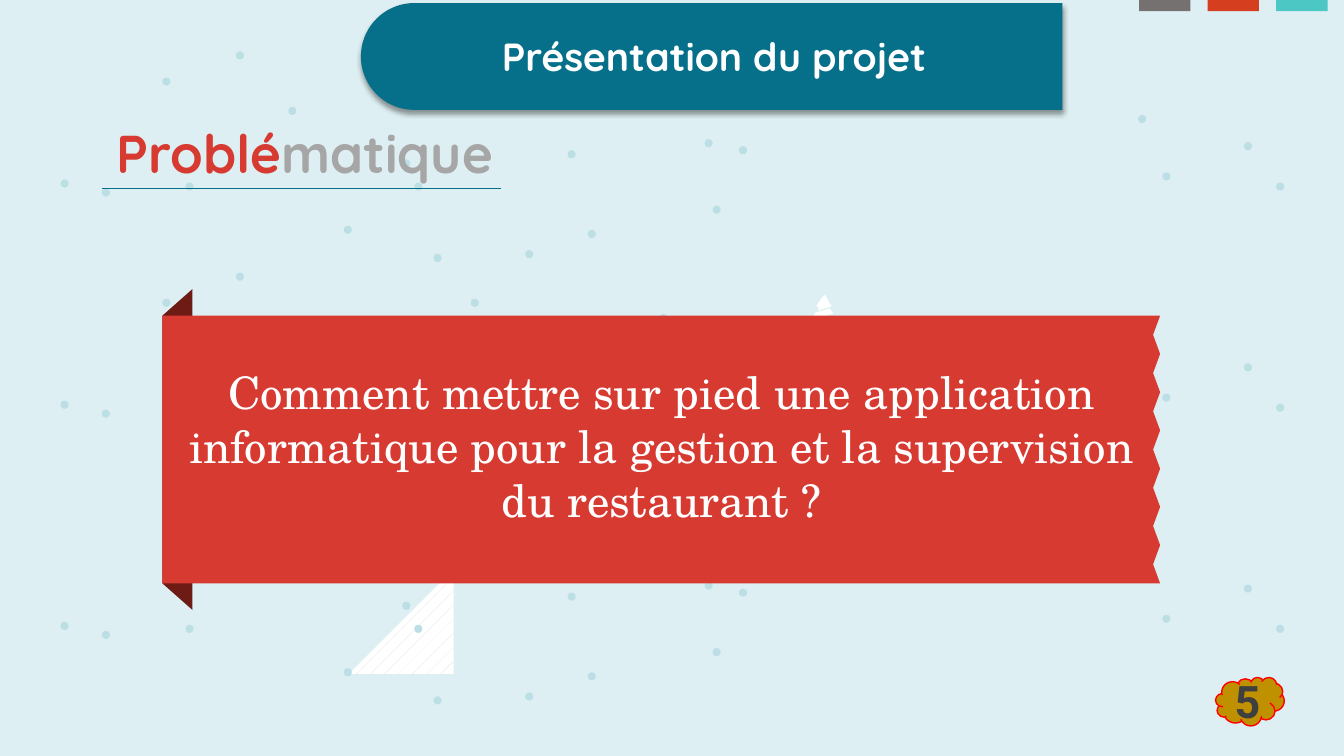
import math

import lxml.etree
import pptx
import pptx.dml.color
import pptx.enum.dml
import pptx.enum.shapes
import pptx.enum.text
import pptx.oxml
import pptx.oxml.ns
import pptx.util

Pt = pptx.util.Pt
SHAPE = pptx.enum.shapes.MSO_SHAPE
qn = pptx.oxml.ns.qn


def paint(fill, color):
    fill.solid()
    fill.fore_color.rgb = pptx.dml.color.RGBColor.from_string(color)


def write(s, runs, size, font, bold):
    """Centre one paragraph of (text, colour) runs in shape s."""
    tf = s.text_frame
    frame = {"word_wrap": True, "vertical_anchor": pptx.enum.text.MSO_ANCHOR.MIDDLE,
             "margin_left": 0, "margin_right": 0, "margin_top": 0, "margin_bottom": 0}
    for name, value in frame.items():
        setattr(tf, name, value)
    p = tf.paragraphs[0]
    p.alignment = pptx.enum.text.PP_ALIGN.CENTER
    for text, color in runs:
        r = p.add_run()
        r.text = text
        for name, value in {"size": Pt(size), "name": font, "bold": bold}.items():
            setattr(r.font, name, value)
        paint(r.font.fill, color)


prs = pptx.Presentation()
prs.slide_width, prs.slide_height = Pt(960), Pt(540)
slide = prs.slides.add_slide(prs.slide_layouts[6])
shapes = slide.shapes
paint(slide.background.fill, "DDEFF2")

# Hatched triangle
s = shapes.add_shape(SHAPE.RIGHT_TRIANGLE, Pt(249.1), Pt(406.8), Pt(74.9), Pt(74.9))
s.shadow.inherit = False
s.line.fill.background()
s._element.spPr.xfrm.set("flipH", "1")
s.fill.patterned()
s.fill.pattern = pptx.enum.dml.MSO_PATTERN.PERCENT_5
s.fill.fore_color.rgb = pptx.dml.color.RGBColor.from_string("D9D9D9")
s.fill.back_color.rgb = pptx.dml.color.RGBColor.from_string("FFFFFF")

# Dots: one scatter repeated down the slide, except under the header and banner
header_left, header_top, header_right, header_bottom = 257.8, 2.2, 758.9, 78.5
left, top, right, bottom = 116, 225.5, 828.7, 416.7
covers = [(header_left, header_top, header_right, header_bottom), (left, top, right, bottom)]
dot, pitch = 5.8, 158
scatter = [
    (245.5, 161.3), (375.1, 178.6), (405.4, 107.3), (43.2, 128.2), (132.5, 130.3),
    (287.3, 113.8), (336.2, 55.4), (470.9, 66.2), (115.9, 55.4), (72.7, 134.6),
    (503.3, 99.4), (911.5, 130.3), (812.9, 82.1), (309.6, 181.4), (419.8, 164.2),
    (168.5, 36.7), (205.9, 76.3), (295.9, 130.3), (888.5, 101.5), (509, 146.9),
    (830.2, 123.1), (527.8, 104.4),
]
for row in range(3):
    for x, y in scatter:
        y += row * pitch
        if any(l <= x <= r - dot and t <= y <= b - dot for l, t, r, b in covers):
            continue
        s = shapes.add_shape(SHAPE.OVAL, Pt(x), Pt(y), Pt(dot), Pt(dot))
        s.shadow.inherit = False
        s.line.fill.background()
        paint(s.fill, "BBDFE5")

# Outlines: tree, header with a round left end, ribbon fold, torn banner
tree_top = [(583.9, 219.6), (585.4, 219.6), (583.9, 221.8), (594, 218.9),
            (589.7, 211), (588.2, 211), (583.2, 218.2)]
tree_tier = [(581, 226.1), (583.9, 226.8), (583.2, 227.5), (595.4, 223.9),
             (592.6, 220.3), (582.5, 223.2)]
radius = (header_bottom - header_top) / 2
header = [(header_right, header_top), (header_right, header_bottom)]
for step in range(37):
    angle = math.radians(90 + 5 * step)
    header.append((header_left + radius + radius * math.cos(angle),
                   header_top + radius + radius * math.sin(angle)))
fold = [(left, top), (left, bottom), (137.5, bottom + 19), (137.5, top - 19)]
teeth = 14
banner = [(left, bottom), (left, top)]
for i in range(teeth + 1):
    banner.append((right - 5 * (i % 2), top + (bottom - top) * i / teeth))

for points, color in [(tree_top, "FFFFFF"), (tree_tier, "FFFFFF"), (header, "066F89"),
                      (fold, "6E1B16"), (banner, "D63A31")]:
    outline = [(Pt(x), Pt(y)) for x, y in points]
    builder = shapes.build_freeform(*outline[0])
    builder.add_line_segments(outline[1:])
    s = builder.convert_to_shape()
    s.shadow.inherit = False
    s.line.fill.background()
    paint(s.fill, color)
    if points is header:
        effects = s._element.spPr.find(qn("a:effectLst"))
        shadow = lxml.etree.SubElement(effects, qn("a:outerShdw"), blurRad=str(Pt(4)),
                                       dist=str(Pt(3)), dir="5400000", rotWithShape="0")
        black = lxml.etree.SubElement(shadow, qn("a:srgbClr"), val="000000")
        lxml.etree.SubElement(black, qn("a:alpha"), val="40000")

# Texts
question = ("Comment mettre sur pied une application informatique "
            "pour la gestion et la supervision du restaurant ?")
for box, runs, size, font, bold in [
    ((15.8, 85.7, 403.9, 46.1), [("Problé", "D63A31"), ("matique", "A6A6A6")],
     38, "Quicksand", True),
    ((128.9, 259.9, 687.6, 116.6), [(question, "FFFFFF")], 32, "TeX Gyre Schola", False),
    ((326.8, 22.6, 366.5, 35), [("Présentation du projet", "FFFFFF")], 28, "Quicksand", True),
]:
    write(shapes.add_textbox(*map(Pt, box)), runs, size, font, bold)

# Page number
s = shapes.add_shape(SHAPE.CLOUD, Pt(868.3), Pt(483.8), Pt(49), Pt(34.6))
s.shadow.inherit = False
paint(s.fill, "BF9000")
paint(s.line.fill, "FF0000")
s.line.width = Pt(1)
write(s, [("5", "3F3F3F")], 32, "Roboto", True)

# Corner tabs
for i, color in enumerate(["767171", "D63E20", "4CC7C4"]):
    s = shapes.add_shape(SHAPE.RECTANGLE, Pt(813.6 + 49 * i), Pt(-28.8), Pt(36.7), Pt(36.7))
    s.shadow.inherit = False
    s.line.fill.background()
    paint(s.fill, color)

# Rule under the section title
s = shapes.add_connector(pptx.enum.shapes.MSO_CONNECTOR.STRAIGHT,
                         Pt(72.7), Pt(134.9), Pt(357.8), Pt(134.9))
paint(s.line.fill, "066F89")
s.line.width = Pt(0.5)
lxml.etree.SubElement(s._element.spPr, qn("a:effectLst"))

prs.save("out.pptx")
